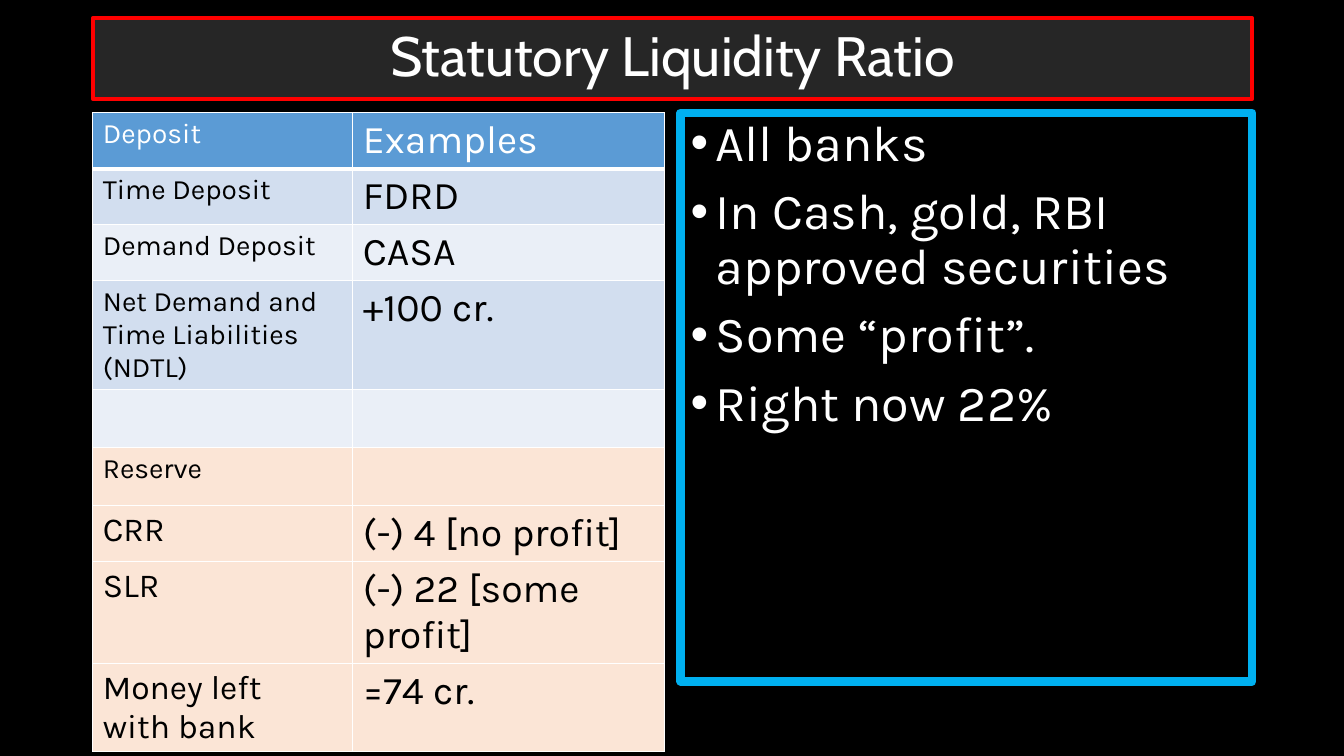
from dataclasses import dataclass

from lxml.etree import SubElement
from pptx import Presentation
from pptx.dml.color import RGBColor
from pptx.enum.text import MSO_ANCHOR as Anchor, MSO_AUTO_SIZE as AutoSize, PP_ALIGN as Align
from pptx.oxml.ns import qn
from pptx.util import Inches, Pt


@dataclass(frozen=True)
class Theme:
    background: str = "000000"
    light: str = "FFFFFF"
    dark: str = "000000"
    title_fill: str = "262626"
    title_line: str = "FF0000"
    list_line: str = "00B0F0"
    header: str = "5B9BD5"
    bands: tuple = ("D2DEEF", "EAEFF7")
    reserve: str = "FBE5D6"
    title_font: str = "Cabin"
    body_font: str = "Karla"
    title_size: float = 39.6
    list_size: int = 36
    value_size: int = 28
    result_size: int = 24
    label_size: int = 20


def rgb(value):
    return RGBColor.from_string(value)


def write(frame, lines, font, size, color, align=Align.LEFT, spacing=None, before=0, bullet=None):
    frame.word_wrap = True
    for index, line in enumerate(lines):
        paragraph = frame.paragraphs[0] if index == 0 else frame.add_paragraph()
        if bullet:
            properties = paragraph._p.get_or_add_pPr()
            properties.set("marL", str(Inches(0.25)))
            properties.set("indent", str(-Inches(0.25)))
            SubElement(properties, qn("a:buFont"), typeface="Arial")
            SubElement(properties, qn("a:buChar"), char=bullet)
        paragraph.alignment = align
        if spacing:
            paragraph.line_spacing = spacing
        paragraph.space_before = Pt(before if index else 0)
        if not line:
            SubElement(paragraph._p, qn("a:endParaRPr"), sz=str(size * 100))
            continue
        run = paragraph.add_run()
        run.text = line
        run.font.name = font
        run.font.size = Pt(size)
        run.font.bold = False
        run.font.color.rgb = rgb(color)


class SlideBuilder:
    def __init__(self, slide, theme):
        self.slide = slide
        self.theme = theme
        fill = slide.background.fill
        fill.solid()
        fill.fore_color.rgb = rgb(theme.background)

    def panel(self, placeholder, box, fill, line, width):
        placeholder.left, placeholder.top, placeholder.width, placeholder.height = map(Inches, box)
        placeholder.fill.solid()
        placeholder.fill.fore_color.rgb = rgb(fill)
        placeholder.line.color.rgb = rgb(line)
        placeholder.line.width = Pt(width)
        placeholder.text_frame.auto_size = AutoSize.NONE
        return placeholder.text_frame

    def title(self, text, box):
        theme = self.theme
        frame = self.panel(self.slide.shapes.title, box, theme.title_fill, theme.title_line, 3)
        frame.vertical_anchor = Anchor.MIDDLE
        write(frame, [text], theme.title_font, theme.title_size, theme.light,
              align=Align.CENTER, spacing=0.9)

    def bullets(self, points, box):
        theme = self.theme
        frame = self.panel(self.slide.placeholders[1], box, theme.background, theme.list_line, 6)
        frame.vertical_anchor = Anchor.TOP
        write(frame, points, theme.body_font, theme.list_size, theme.light,
              spacing=0.9, before=10, bullet="•")

    def border(self, cell, bottom):
        properties = cell._tc.get_or_add_tcPr()
        for side, width in (("L", 1), ("R", 1), ("T", 1), ("B", bottom)):
            edge = SubElement(properties, qn(f"a:ln{side}"), w=str(Pt(width)))
            SubElement(SubElement(edge, qn("a:solidFill")), qn("a:srgbClr"), val=self.theme.light)

    def table(self, rows, box, widths, row_height, reserve_start, result_start):
        theme = self.theme
        holder = self.slide.shapes.add_table(len(rows), len(widths), *map(Inches, box))
        table = holder.table
        for column, width in zip(table.columns, widths):
            column.width = Inches(width)
        for index, entries in enumerate(rows):
            table.rows[index].height = Inches(row_height)
            if index == 0:
                fill = theme.header
            elif index < reserve_start:
                fill = theme.bands[(index - 1) % 2]
            else:
                fill = theme.reserve
            label_size = theme.label_size if index < result_start else theme.result_size
            for column, (text, size) in enumerate(zip(entries, (label_size, theme.value_size))):
                cell = table.cell(index, column)
                self.border(cell, 1 if index else 3)
                cell.fill.solid()
                cell.fill.fore_color.rgb = rgb(fill)
                write(cell.text_frame, text.split("\n"), theme.body_font, size,
                      theme.dark if index else theme.light)
        holder.height = Inches(box[3])


def main():
    deck = Presentation()
    deck.slide_width, deck.slide_height = Inches(13.33), Inches(7.5)
    builder = SlideBuilder(deck.slides.add_slide(deck.slide_layouts[1]), Theme())
    deposits = [
        ("Deposit", "Examples"),
        ("Time Deposit", "FDRD"),
        ("Demand Deposit", "CASA"),
        ("Net Demand and Time Liabilities (NDTL)", "+100 cr."),
        ("", ""),
        ("Reserve", ""),
        ("CRR", "(-) 4 [no profit]"),
        ("SLR", "(-) 22 [some profit]"),
        ("Money left\nwith bank", "=74 cr."),
    ]
    builder.table(deposits, (0.92, 1.12, 5.67, 5.63), widths=(2.58, 3.09), row_height=0.41,
                  reserve_start=5, result_start=6)
    builder.bullets(["All banks", "In Cash, gold, RBI approved securities",
                     "Some “profit”.", "Right now 22%"], (6.75, 1.12, 5.67, 5.64))
    builder.title("Statutory Liquidity Ratio", (0.92, 0.18, 11.5, 0.8))
    deck.save("out.pptx")


if __name__ == "__main__":
    main()
